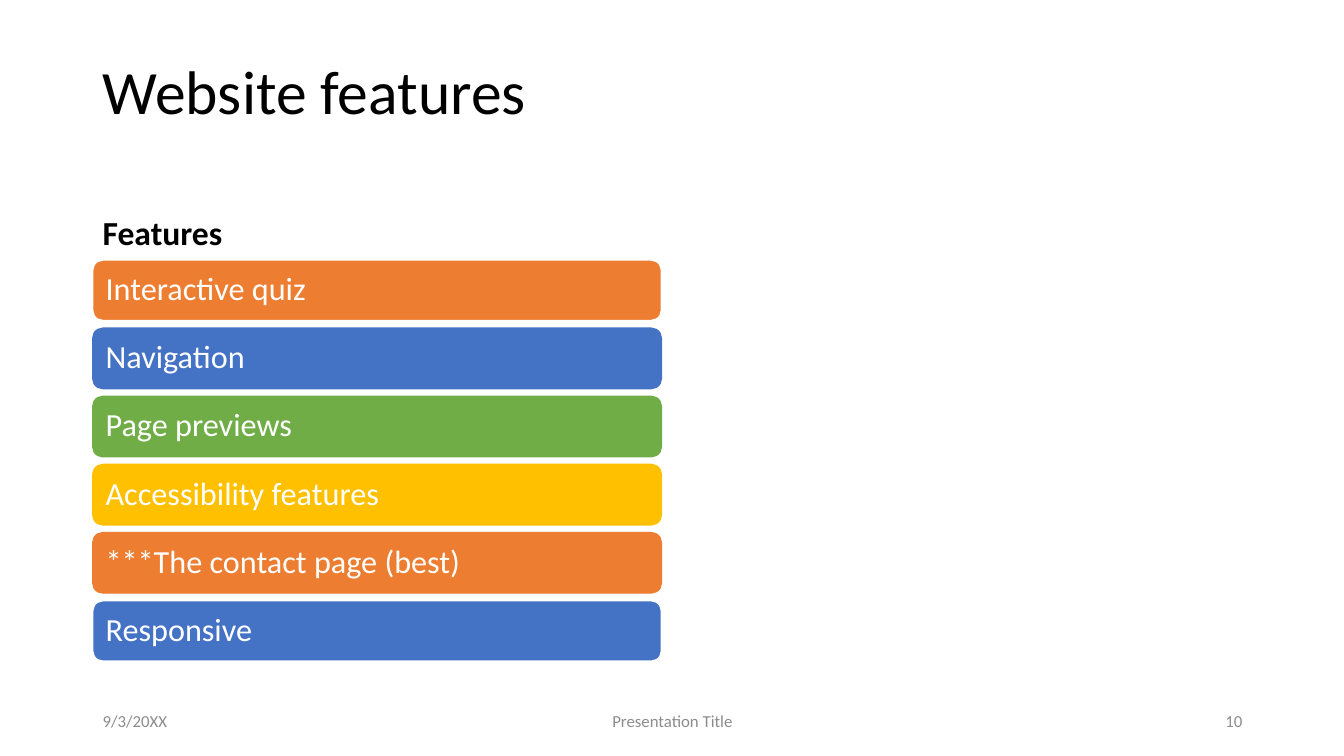
from pptx import Presentation
from pptx.dml.color import RGBColor
from pptx.enum.shapes import MSO_SHAPE
from pptx.enum.text import MSO_ANCHOR, PP_ALIGN
from pptx.util import Inches, Pt

BLACK = RGBColor(0x00, 0x00, 0x00)
WHITE = RGBColor(0xFF, 0xFF, 0xFF)
GRAY = RGBColor(0x8C, 0x8C, 0x8C)
ORANGE = RGBColor(0xED, 0x7D, 0x31)
BLUE = RGBColor(0x44, 0x72, 0xC4)
GREEN = RGBColor(0x70, 0xAD, 0x47)
GOLD = RGBColor(0xFF, 0xC0, 0x00)

LEFT = 0.92
WIDTH = 5.64
TOP = 2.58
STEP = 0.676
HEIGHT = 0.6


def write(shape, text, size, color, anchor=MSO_ANCHOR.MIDDLE,
          align=PP_ALIGN.LEFT, bold=False, spacing=0.9):
    frame = shape.text_frame
    frame.word_wrap = True
    frame.vertical_anchor = anchor
    frame.text = text
    para = frame.paragraphs[0]
    para.alignment = align
    para.line_spacing = spacing
    font = para.runs[0].font
    font.name = "Calibri"
    font.size = Pt(size)
    font.bold = bold
    font.color.rgb = color


def add_text(left, top, width, height, *args, **style):
    box = slide.shapes.add_textbox(
        Inches(left), Inches(top), Inches(width), Inches(height))
    write(box, *args, **style)


prs = Presentation()
prs.slide_width = Inches(13.33)
prs.slide_height = Inches(7.5)
slide = prs.slides.add_slide(prs.slide_layouts[6])

add_text(LEFT, 0.21, 11.5, 1.45, "Website features", 44, BLACK)
add_text(LEFT, 1.66, WIDTH, 0.9, "Features", 24, BLACK,
         anchor=MSO_ANCHOR.BOTTOM, bold=True)

# Feature bars: text, fill, outline
bars = [
    ("Interactive quiz", ORANGE, WHITE),
    ("Navigation", BLUE, BLUE),
    ("Page previews", GREEN, GREEN),
    ("Accessibility features", GOLD, GOLD),
    ("***The contact page (best)", ORANGE, ORANGE),
    ("Responsive", BLUE, WHITE),
]
for row, (text, fill, line) in enumerate(bars):
    bar = slide.shapes.add_shape(
        MSO_SHAPE.ROUNDED_RECTANGLE, Inches(LEFT), Inches(TOP + row * STEP),
        Inches(WIDTH), Inches(HEIGHT))
    bar.shadow.inherit = False
    bar.fill.solid()
    bar.fill.fore_color.rgb = fill
    bar.line.color.rgb = line
    bar.line.width = Pt(1)
    write(bar, text, 23, WHITE)

# Footer
footer = [
    (LEFT, 3, "9/3/20XX", PP_ALIGN.LEFT),
    (4.42, 4.5, "Presentation Title", PP_ALIGN.CENTER),
    (9.42, 3, "10", PP_ALIGN.RIGHT),
]
for left, width, text, align in footer:
    add_text(left, 6.95, width, 0.4, text, 12, GRAY, align=align, spacing=1.0)

prs.save("out.pptx")
